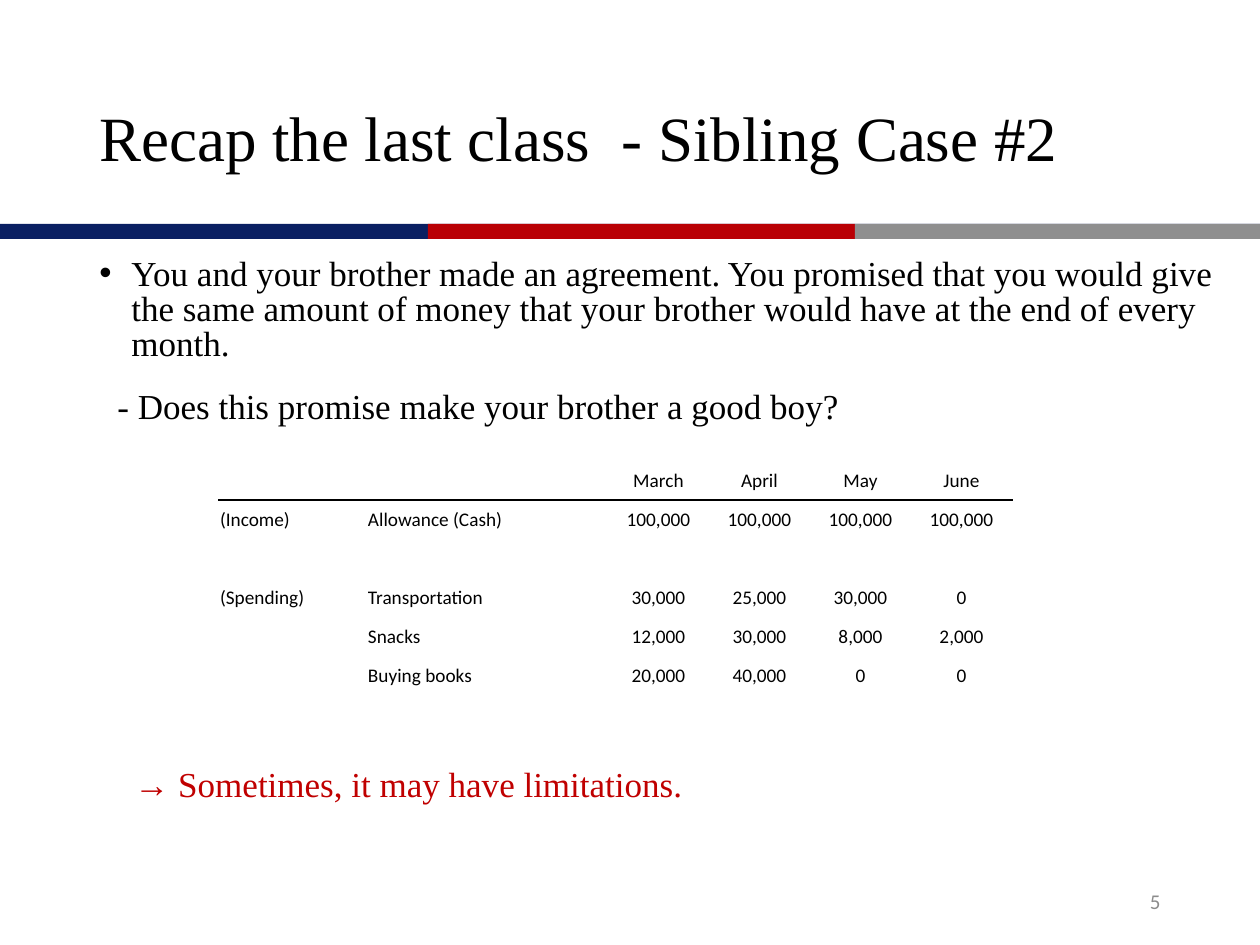
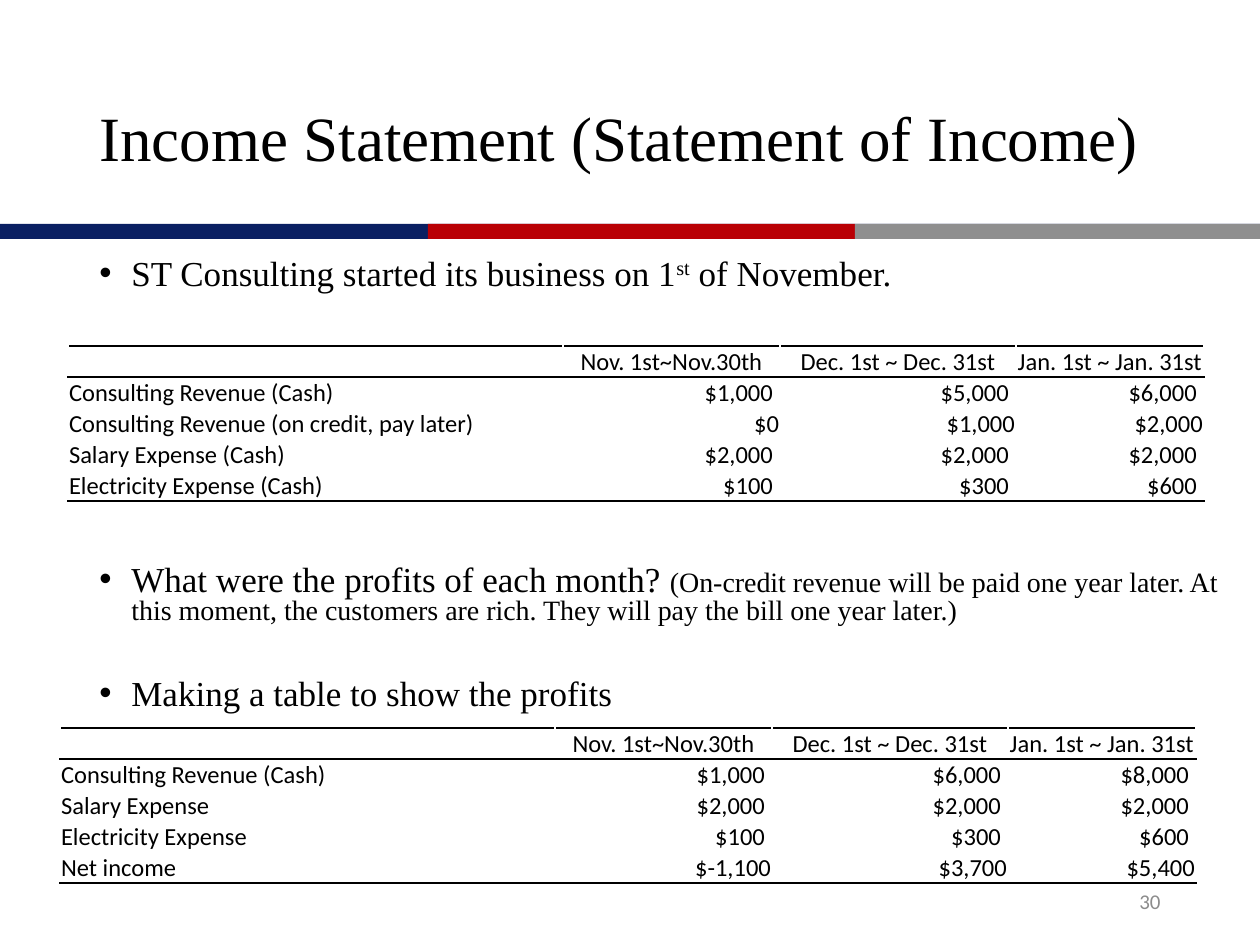
from lxml.etree import SubElement
from pptx import Presentation
from pptx.dml.color import RGBColor
from pptx.enum.shapes import MSO_SHAPE
from pptx.enum.text import MSO_ANCHOR as Anchor, PP_ALIGN as Align
from pptx.oxml.ns import qn
from pptx.util import Emu, Pt

EMU_PER_PX = 914400 / 126
SERIF, SANS = "Times New Roman", "Calibri"
C = {"navy": "0A1F62", "red": "B90005", "gray": "8F8F8F", "number": "8C8C8C",
     "accent": "C00000", "black": "000000", "white": "FFFFFF"}
BANDS = [(0, 1260, "navy"), (428, 427, "red"), (855, 405, "gray")]
LEFT, BODY_W, INDENT = 87, 1159, 32


def px(n):
    return Emu(round(n * EMU_PER_PX))


def rgb(name):
    return RGBColor.from_string(C[name])


def add_bullet(p):
    pPr = p._p.get_or_add_pPr()
    pPr.set("marL", str(px(INDENT)))
    pPr.set("indent", str(-px(INDENT)))
    SubElement(pPr, qn("a:buFont"), typeface="Arial")
    SubElement(pPr, qn("a:buChar"), char="•")


def write(tf, text, size=20, font=SERIF, color="black", align=Align.LEFT,
          line=None, before=0, after=0, bullet=False, indent=0):
    """Add a paragraph; text is a string or a list of (string, size, baseline %) runs."""
    p = tf.paragraphs[0]
    if p.runs:
        p = tf.add_paragraph()
    if bullet:
        add_bullet(p)
    elif indent:
        p._p.get_or_add_pPr().set("marL", str(px(indent)))
    p.alignment = align
    p.space_before, p.space_after = Pt(before), Pt(after)
    if line:
        p.line_spacing = line
    runs = [(text, size, 0)] if isinstance(text, str) else text
    for words, run_size, baseline in runs:
        r = p.add_run()
        r.text = words
        r.font.size, r.font.name = Pt(run_size), font
        r.font.color.rgb = rgb(color)
        if baseline:
            r._r.get_or_add_rPr().set("baseline", str(baseline * 1000))


def text_box(s, x, y, w, h, anchor=Anchor.TOP):
    tf = s.shapes.add_textbox(px(x), px(y), px(w), px(h)).text_frame
    tf.word_wrap = True
    tf.vertical_anchor = anchor
    return tf


def base_slide(prs, title, number):
    """Start a slide with bands, title and number; return it with its body frame."""
    s = prs.slides.add_slide(prs.slide_layouts[6])
    for x, w, color in BANDS:
        sp = s.shapes.add_shape(MSO_SHAPE.RECTANGLE, px(x), px(224), px(w), px(15))
        sp.shadow.inherit = False
        sp.fill.solid()
        sp.fill.fore_color.rgb = rgb(color)
        sp.line.fill.background()
    write(text_box(s, LEFT, 50, BODY_W, 183, Anchor.MIDDLE), title, size=36, line=0.9)
    body = text_box(s, LEFT, 252, BODY_W, 600)
    write(text_box(s, 890, 876, 283, 50, Anchor.MIDDLE), number, size=12, font=SANS,
          color="number", align=Align.RIGHT)
    return s, body


def set_borders(cell, dark):
    """Draw 1 pt borders: black on the sides in dark (T, B), white on the others."""
    tcPr = cell._tc.get_or_add_tcPr()
    for side in "LRTB":
        ln = SubElement(tcPr, qn(f"a:ln{side}"), w=str(Pt(1)))
        fill = SubElement(ln, qn("a:solidFill"))
        SubElement(fill, qn("a:srgbClr"), val=C["black" if side in dark else "white"])


def add_grid(s, x, y, col_widths, row_h, rows, size, labels, value_align,
             rules, padded=()):
    """Add a table. rules: row boundaries drawn black; padded: rows set in at the right."""
    shape = s.shapes.add_table(len(rows), len(col_widths), px(x), px(y),
                               px(sum(col_widths)), px(row_h * len(rows)))
    table = shape.table
    table.first_row = table.horz_banding = False
    for col, w in zip(table.columns, col_widths):
        col.width = px(w)
    for i, row in enumerate(rows):
        table.rows[i].height = px(row_h)
        for j, text in enumerate(row):
            cell = table.cell(i, j)
            cell.margin_left = cell.margin_top = px(1)
            cell.margin_right = px(7 if i in padded and j >= labels else 1)
            cell.margin_bottom = 0
            cell.vertical_anchor = Anchor.MIDDLE
            set_borders(cell, "T" * (i in rules) + "B" * (i + 1 in rules))
            cell.fill.background()
            if text:
                align = (Align.LEFT if j < labels else
                         Align.CENTER if i == 0 else value_align)
                write(cell.text_frame, text, size=size, font=SANS, align=align)
            else:
                SubElement(cell.text_frame.paragraphs[0]._p, qn("a:endParaRPr"),
                           sz=str(size * 100))


def sibling_slide(prs):
    s, body = base_slide(prs, "Recap the last class  - Sibling Case #2", "5")
    fmt = {"line": Pt(20), "after": 6}
    write(body, "You and your brother made an agreement. You promised that you would "
          "give the same amount of money that your brother would have at the end of "
          "every month.", bullet=True, **fmt)
    write(body, "- Does this promise make your brother a good boy?", before=10,
          indent=18, **fmt)
    write(body, "→ Sometimes, it may have limitations.", color="accent", before=190,
          indent=35, **fmt)
    rows = [
        ("", "", "March", "April", "May", "June"),
        ("(Income)", "Allowance (Cash)") + ("100,000",) * 4,
        ("",) * 6,
        ("(Spending)", "Transportation", "30,000", "25,000", "30,000", "0"),
        ("", "Snacks", "12,000", "30,000", "8,000", "2,000"),
        ("", "Buying books", "20,000", "40,000", "0", "0"),
    ]
    add_grid(s, 219, 461, [148, 241] + [101] * 4, 39, rows, 11, labels=2,
             value_align=Align.CENTER, rules={1})


def income_slide(prs):
    s, body = base_slide(prs, "Income Statement (Statement of Income)", "30")
    write(body, [("ST Consulting started its business on 1", 20, 0), ("st", 20, 30),
                 (" of November.", 20, 0)], bullet=True, line=Pt(20), after=6)
    write(body, [("What were the profits of each month? ", 20, 0),
                 ("(On-credit revenue will be paid one year later. At this moment, the "
                  "customers are rich. They will pay the bill one year later.)", 16, 0)],
          bullet=True, line=Pt(15), before=154)
    write(body, "Making a table to show the profits", bullet=True, line=Pt(15),
          before=35)

    header = ("", "Nov. 1st~Nov.30th", "Dec. 1st ~ Dec. 31st", "Jan. 1st ~ Jan. 31st")
    salary = ("$2,000",) * 3
    electricity = ("$100", "$300", "$600")
    transactions = [
        header,
        ("Consulting Revenue (Cash)", "$1,000", "$5,000", "$6,000"),
        ("Consulting Revenue (on credit, pay later)", "$0", "$1,000", "$2,000"),
        ("Salary Expense (Cash)", *salary),
        ("Electricity Expense (Cash)", *electricity),
    ]
    profits = [
        header,
        ("Consulting Revenue (Cash)", "$1,000", "$6,000", "$8,000"),
        ("Salary Expense", *salary),
        ("Electricity Expense", *electricity),
        ("Net income", "$-1,100", "$3,700", "$5,400"),
    ]
    for x, y, rows, padded in ((68, 346, transactions, {1, 3, 4}),
                               (60, 728, profits, {1, 2, 3})):
        add_grid(s, x, y, [495, 217, 236, 188], 31, rows, 14, labels=1,
                 value_align=Align.RIGHT, rules={0, 1, 5}, padded=padded)


def main():
    prs = Presentation()
    prs.slide_width, prs.slide_height = px(1260), px(945)
    sibling_slide(prs)
    income_slide(prs)
    prs.save("out.pptx")


if __name__ == "__main__":
    main()
